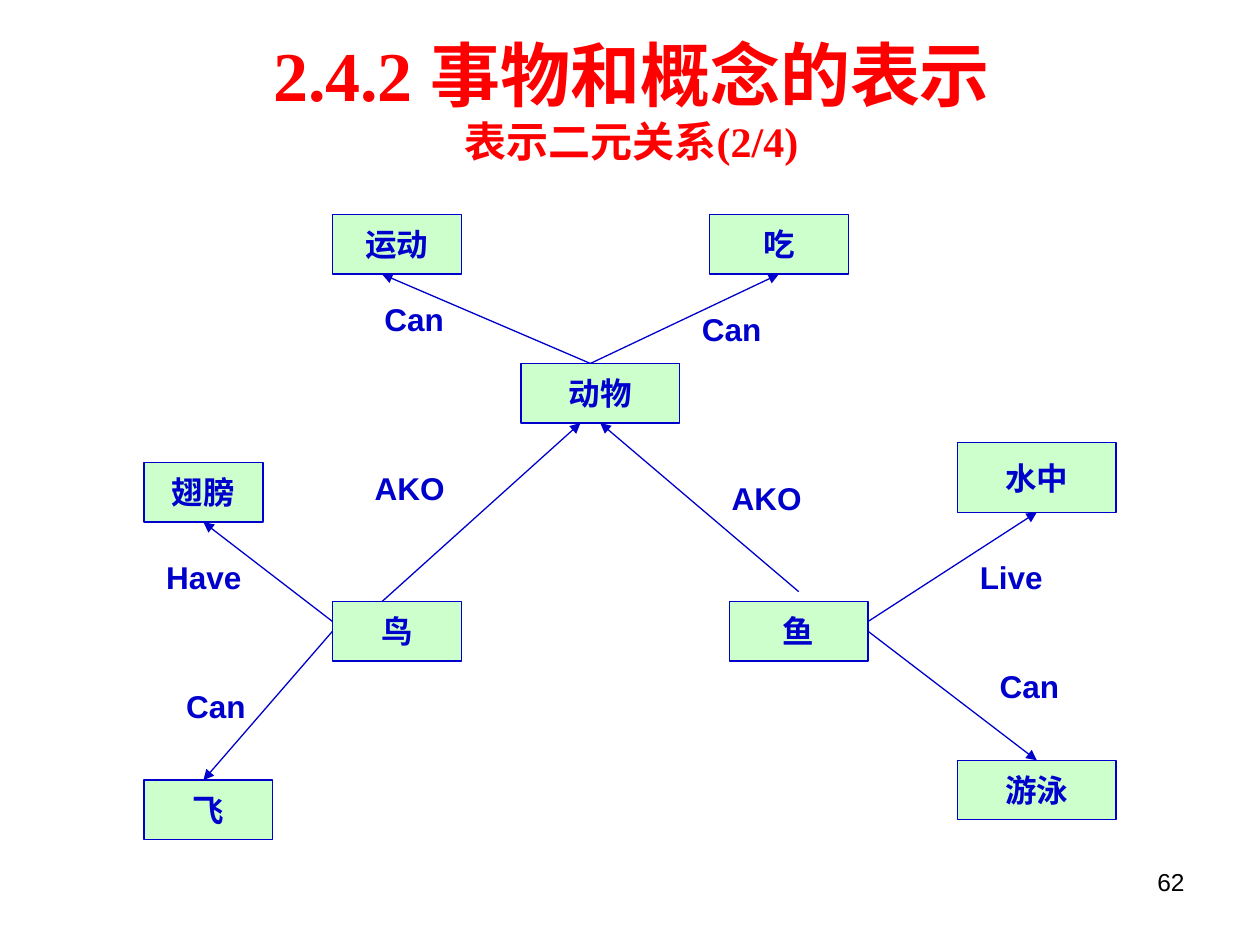
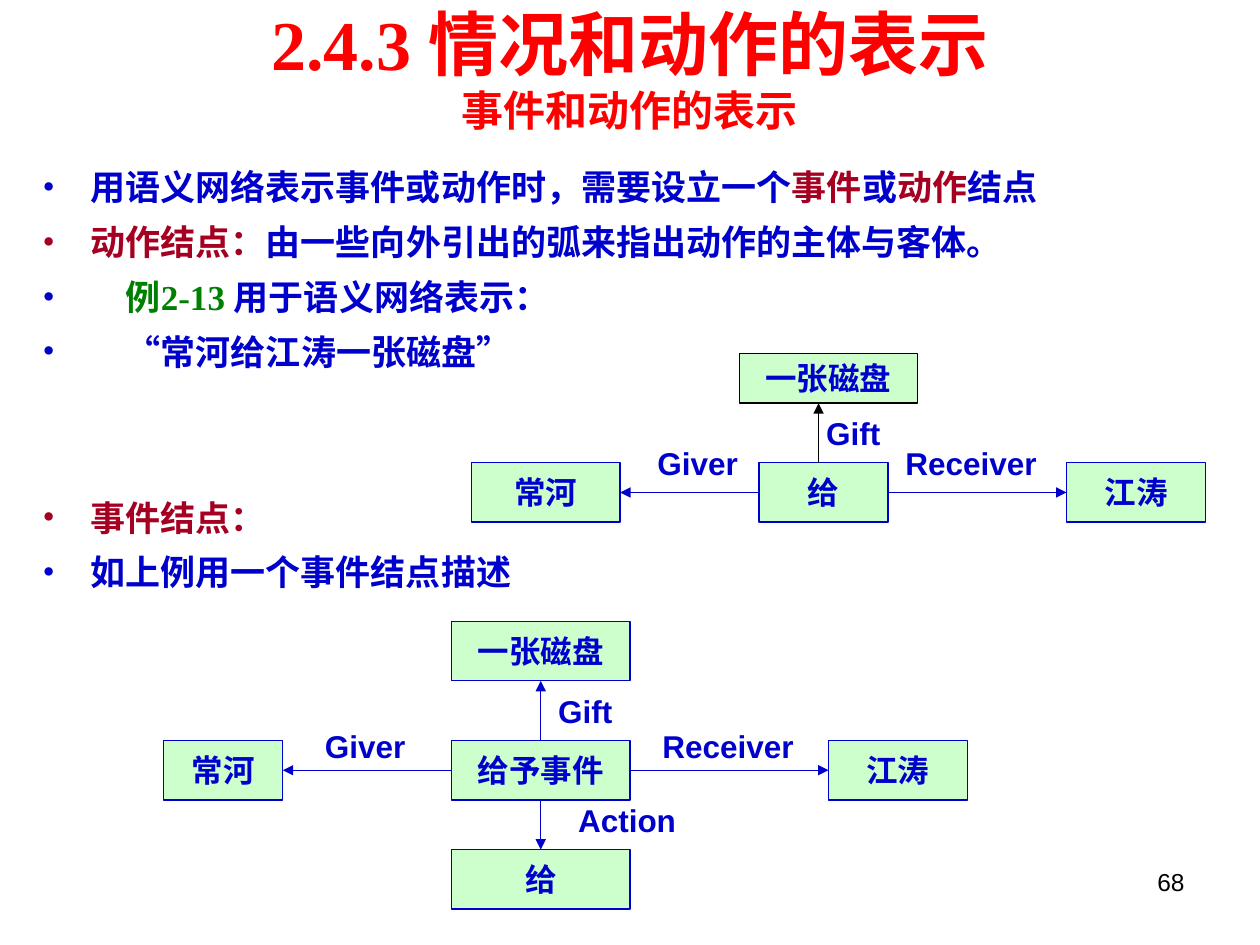
from lxml.etree import SubElement as sub
from pptx import Presentation
from pptx.dml.color import RGBColor as RGB
from pptx.enum.shapes import MSO_CONNECTOR as LINE, MSO_SHAPE as SHAPE
from pptx.enum.text import MSO_ANCHOR as ANCHOR, PP_ALIGN as ALIGN
from pptx.oxml.ns import qn
from pptx.util import Inches, Mm, Pt

BLUE = RGB(0x00, 0x00, 0xCC)
RED = RGB(0xFF, 0x00, 0x00)
WINE = RGB(0xA5, 0x00, 0x21)
LEAF = RGB(0x00, 0x80, 0x00)
MINT = RGB(0xCC, 0xFF, 0xCC)
BLACK = RGB(0x00, 0x00, 0x00)

CELL = Mm(2)
LEFT, TOP = Inches(0.04), Inches(0.05)
EDGE = Pt(0.75)

HEAD = {"name": "Times New Roman", "size": Pt(40), "bold": True}
SUBHEAD = HEAD | {"size": Pt(24)}
BODY = HEAD | {"size": Pt(20)}
NODE = {"name": "Arial", "size": Pt(18), "bold": True}
PAGE = {"name": "Arial", "size": Pt(14)}
ROOMY = {"margin_left": Inches(0.1), "margin_right": Inches(0.1),
         "margin_top": Inches(0.05), "margin_bottom": Inches(0.05)}
TIGHT = {"margin_left": Inches(0.06), "margin_right": Inches(0.06),
         "margin_top": Inches(0.01), "margin_bottom": Inches(0.01)}


def put(obj, form):
    """Set each format value on an object."""
    for key, value in form.items():
        setattr(obj, key, value)


def spot(col, row):
    """Turn a grid point into slide lengths."""
    return round(LEFT + col * CELL), round(TOP + row * CELL)


def area(box):
    """Turn a grid box into slide lengths."""
    col, row, wide, high = box
    return *spot(col, row), round(wide * CELL), round(high * CELL)


def write(para, text, form, color):
    """Add one run of formatted text."""
    run = para.add_run()
    run.text = text
    put(run.font, form)
    run.font.color.rgb = color


def frame(slide, box, form=ROOMY):
    """Add a wrapping text box and return its frame."""
    text = slide.shapes.add_textbox(*area(box)).text_frame
    put(text, form | {"word_wrap": True})
    return text


def title(slide, box, head, subhead):
    """Place the two-line red title."""
    text = frame(slide, box)
    text.vertical_anchor = ANCHOR.MIDDLE
    para = text.paragraphs[0]
    para.alignment = ALIGN.CENTER
    write(para, head, HEAD, RED)
    para.add_line_break()
    write(para, subhead, SUBHEAD, RED)


def number(slide, box, page):
    """Place the page number."""
    para = frame(slide, box).paragraphs[0]
    para.alignment = ALIGN.RIGHT
    write(para, str(page), PAGE, BLACK)


def node(slide, box, name, edge):
    """Place one green box of the net."""
    shape = slide.shapes.add_shape(SHAPE.RECTANGLE, *area(box))
    shape.shadow.inherit = False
    shape.fill.solid()
    shape.fill.fore_color.rgb = MINT
    shape.line.color.rgb = edge
    shape.line.width = EDGE
    text = shape.text_frame
    put(text, ROOMY | {"word_wrap": False, "vertical_anchor": ANCHOR.MIDDLE})
    text.paragraphs[0].alignment = ALIGN.CENTER
    write(text.paragraphs[0], name, NODE, BLUE)
    return shape


def sites(box):
    """List the side middles of a box in connection order."""
    col, row, wide, high = box
    mid, half = col + wide / 2, row + high / 2
    return [(mid, row), (col, half), (mid, row + high), (col + wide, half)]


def arrow(slide, start, end, joints, color):
    """Draw an arrow, joined wherever an end meets a side middle."""
    link = slide.shapes.add_connector(LINE.STRAIGHT, *spot(*start), *spot(*end))
    link.line.color.rgb = color
    link.line.width = EDGE
    sub(link.line._get_or_add_ln(), qn("a:tailEnd"), type="triangle")
    sub(link._element.spPr, qn("a:effectLst"))
    for point, join in ((start, link.begin_connect), (end, link.end_connect)):
        if point in joints:
            join(*joints[point])


def net(slide, origin, nodes, arcs, tags):
    """Place a semantic net from its top left grid point."""
    left, top = origin
    joints = {}
    for name, col, row, wide, high, *edge in nodes:
        box = left + col, top + row, wide, high
        shape = node(slide, box, name, *(edge or [BLUE]))
        joints |= {point: (shape, i) for i, point in enumerate(sites(box))}
    for x1, y1, x2, y2, *color in arcs:
        arrow(slide, (left + x1, top + y1), (left + x2, top + y2),
              joints, *(color or [BLUE]))
    for name, col, row, wide, form in tags:
        high = 5 if form is ROOMY else 4
        text = frame(slide, (left + col, top + row, wide, high), form)
        write(text.paragraphs[0], name, NODE, BLUE)


def points(slide, box, items):
    """Place the bulleted text."""
    text = frame(slide, box)
    for i, (dot, inset, gap, face, runs) in enumerate(items):
        para = text.add_paragraph() if i else text.paragraphs[0]
        put(para, {"line_spacing": 1.1, "space_before": Pt(gap)})
        props = para._p.get_or_add_pPr()
        props.set("marL", str(Inches(0.38 + inset)))
        props.set("indent", str(-Inches(0.38 + inset)))
        sub(sub(props, qn("a:buClr")), qn("a:srgbClr"), val=str(dot))
        sub(props, qn("a:buFont"), typeface="Times New Roman")
        sub(props, qn("a:buChar"), char="•")
        for part, color in runs:
            write(para, part, BODY | {"name": face}, color)


TIMES, ARIAL = "Times New Roman", "Arial"
ITEMS = [
    (BLUE, 0, 5, TIMES, [("用语义网络表示事件或动作时，需要设立一个", BLUE), ("事件", WINE),
                         ("或", BLUE), ("动作", WINE), ("结点", BLUE)]),
    (WINE, 0, 5, TIMES, [("动作结点：", WINE),
                         ("由一些向外引出的弧来指出动作的主体与客体。", BLUE)]),
    (BLUE, 0.28, 5, TIMES, [("例2-13 ", LEAF), ("用于语义网络表示：", BLUE)]),
    (BLUE, 0.28, 5, TIMES, [("“常河给江涛一张磁盘”", BLUE)]),
    (WINE, 0, 68.4, ARIAL, [("事件结点：", WINE)]),
    (BLUE, 0, 5, ARIAL, [("如上例用一个事件结点描述", BLUE)]),
]

ANIMAL = {
    "nodes": [("动物", 38, 15, 16, 6), ("吃", 57, 0, 14, 6), ("运动", 19, 0, 13, 6),
              ("翅膀", 0, 25, 12, 6), ("水中", 82, 23, 16, 7), ("鸟", 19, 39, 13, 6),
              ("鱼", 59, 39, 14, 6), ("飞", 0, 57, 13, 6), ("游泳", 82, 55, 16, 6)],
    "arcs": [(45, 15, 24, 6), (45, 15, 64, 6), (24, 39, 44, 21), (66, 38, 46, 21),
             (19, 41, 6, 31), (19, 42, 6, 57), (73, 41, 90, 30), (73, 42, 90, 55)],
    "tags": [("Can", 23, 8, 11, ROOMY), ("Can", 55, 9, 12, ROOMY),
             ("AKO", 22, 25, 14, ROOMY), ("Live", 83, 34, 9.5, ROOMY),
             ("Have", 1, 34, 12, ROOMY), ("Can", 3, 47, 9, ROOMY),
             ("AKO", 58, 26, 15, ROOMY), ("Can", 85, 45, 10, ROOMY)],
}
ACTION = {
    "nodes": [("一张磁盘", 27, 0, 18, 5, BLACK), ("常河", 0, 11, 15, 6),
              ("给", 29, 11, 13, 6), ("江涛", 60, 11, 14, 6)],
    "arcs": [(35, 11, 35, 5, BLACK), (29, 14, 15, 14), (42, 14, 60, 14)],
    "tags": [("Gift", 35, 6, 11, TIGHT), ("Receiver", 43, 9, 15, TIGHT),
             ("Giver", 18, 9, 10, TIGHT)],
}
EVENT = {
    "nodes": [("一张磁盘", 29, 0, 18, 6), ("给予事件", 29, 12, 18, 6),
              ("给", 29, 23, 18, 6), ("常河", 0, 12, 12, 6), ("江涛", 67, 12, 14, 6)],
    "arcs": [(38, 12, 38, 6), (38, 18, 38, 23), (29, 15, 12, 15), (47, 15, 67, 15)],
    "tags": [("Gift", 39, 7, 10, TIGHT), ("Receiver", 49, 10, 16, ROOMY),
             ("Giver", 15, 10, 12, ROOMY), ("Action", 41, 18, 14, TIGHT)],
}


def page(deck, num, box, head, subhead):
    """Add a blank slide with its number and title."""
    slide = deck.slides.add_slide(deck.slide_layouts[6])
    number(slide, (90.55, 86.1, 29.6, 6.6), num)
    title(slide, box, head, subhead)
    return slide


def main():
    """Build both slides and save them."""
    deck = Presentation()
    put(deck, {"slide_width": Inches(10), "slide_height": Inches(7.5)})
    slide = page(deck, 62, (6, 2, 114.3, 14.6), "2.4.2 事物和概念的表示", "表示二元关系(2/4)")
    net(slide, (14, 21), **ANIMAL)
    slide = page(deck, 68, (5.84, -0.64, 114.3, 13.6),
                 "2.4.3 情况和动作的表示", "事件和动作的表示")
    points(slide, (2.54, 15, 120.5, 79.6), ITEMS)
    net(slide, (47, 35), **ACTION)
    net(slide, (16, 62), **EVENT)
    deck.save("out.pptx")


if __name__ == "__main__":
    main()
